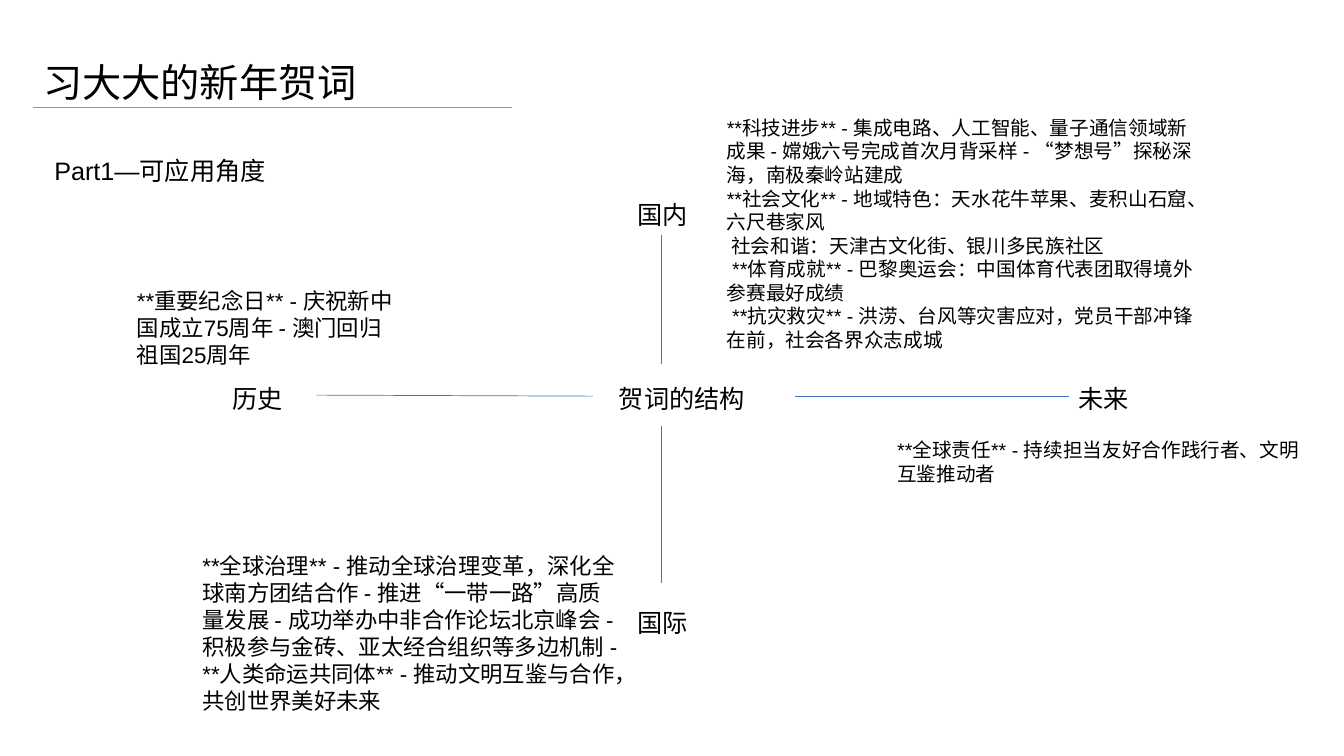
from lxml import etree
from pptx import Presentation
from pptx.dml.color import RGBColor
from pptx.enum.shapes import MSO_CONNECTOR
from pptx.enum.text import MSO_ANCHOR, MSO_AUTO_SIZE, PP_ALIGN
from pptx.oxml.ns import qn
from pptx.util import Inches, Pt

STRAIGHT = MSO_CONNECTOR.STRAIGHT
TOP = MSO_ANCHOR.TOP
GROW = MSO_AUTO_SIZE.SHAPE_TO_FIT_TEXT
LEFT = PP_ALIGN.LEFT

COLORS = {"text": "000000", "rule": "ED7D31", "axis": "4472C4"}
LATIN = "Arial"
CJK = "Noto Sans CJK SC"
FRAME = {
    "word_wrap": True,
    "auto_size": GROW,
    "vertical_anchor": TOP,
    "margin_left": Inches(0.1),
    "margin_right": Inches(0.1),
    "margin_top": Inches(0.05),
    "margin_bottom": Inches(0.05),
}

DOMESTIC = [
    "**科技进步** - 集成电路、人工智能、量子通信领域新成果 - 嫦娥六号完成首次月背采样 - “梦想号”探秘深海，南极秦岭站建成",
    "**社会文化** - 地域特色：天水花牛苹果、麦积山石窟、六尺巷家风",
    " 社会和谐：天津古文化街、银川多民族社区",
    " **体育成就** - 巴黎奥运会：中国体育代表团取得境外参赛最好成绩",
    " **抗灾救灾** - 洪涝、台风等灾害应对，党员干部冲锋在前，社会各界众志成城",
]
GLOBAL = [
    "**全球治理** - 推动全球治理变革，深化全球南方团结合作 - 推进“一带一路”高质量发展 - 成功举办中非合作论坛北京峰会 - 积极参与金砖、亚太经合组织等多边机制 - **人类命运共同体** - 推动文明互鉴与合作，共创世界美好未来"
]
HISTORY = ["**重要纪念日** - 庆祝新中国成立75周年 - 澳门回归祖国25周年"]
FUTURE = ["**全球责任** - 持续担当友好合作践行者、文明互鉴推动者"]


def fill_text(sp, paragraphs, size, font=LATIN):
    tf = sp.text_frame
    for name, value in FRAME.items():
        setattr(tf, name, value)
    for i, text in enumerate(paragraphs):
        p = tf.add_paragraph() if i else tf.paragraphs[0]
        p.alignment = LEFT
        r = p.add_run()
        r.text = text
        for name, value in {"size": Pt(size), "name": font, "bold": False}.items():
            setattr(r.font, name, value)
        r.font.color.rgb = RGBColor.from_string(COLORS["text"])
        r.font.language_id = None
        etree.SubElement(r.font._element, qn("a:ea")).set("typeface", CJK)


def add_text(slide, box, paragraphs, size):
    sp = slide.shapes.add_textbox(*map(Inches, box))
    fill_text(sp, paragraphs, size)


def add_line(slide, ends, color):
    sp = slide.shapes.add_connector(STRAIGHT, *map(Inches, ends))
    sp.line.color.rgb = RGBColor.from_string(COLORS[color])
    sp.line.width = Pt(0.5)
    etree.SubElement(sp._element.spPr, qn("a:effectLst"))


def add_header(slide, box):
    x, y, w, h = box
    title = slide.shapes.title
    bounds = (x, y, 3.45, 0.57)
    for name, value in zip(("left", "top", "width", "height"), bounds):
        setattr(title, name, Inches(value))
    fill_text(title, ["习大大的新年贺词"], 28, CJK)
    add_line(slide, (x, y + 0.54, x + w, y + 0.54), "rule")
    add_text(slide, (x + 0.11, y + h - 0.4, 2.7, 0.4), ["Part1—可应用角度"], 18)


def add_axes(slide, box):
    x, y, w, h = box
    mid_x, mid_y = x + 4.35, y + 2
    right, bottom = x + w, y + h
    label_y = mid_y - 0.18
    labels = [
        ("贺词的结构", mid_x - 0.52, label_y, 1.84),
        ("国内", mid_x - 0.34, y, 0.89),
        ("国际", mid_x - 0.34, bottom - 0.4, 0.89),
        ("历史", x, label_y, 0.93),
        ("未来", right - 0.93, label_y, 0.93),
    ]
    for text, left, top, width in labels:
        add_text(slide, (left, top, width, 0.4), [text], 18)
    for ends in (
        (mid_x, y + 0.4, mid_x, mid_y - 0.32),
        (mid_x, mid_y + 0.3, mid_x, bottom - 0.6),
        (x + 0.93, mid_y - 0.01, mid_x - 0.68, mid_y),
        (mid_x + 1.33, mid_y, right - 0.93, mid_y),
    ):
        add_line(slide, ends, "axis")


def main():
    prs = Presentation()
    prs.slide_width, prs.slide_height = Inches(13.33), Inches(7.5)
    slide = prs.slides.add_slide(prs.slide_layouts.get_by_name("Title Only"))
    add_header(slide, (0.33, 0.53, 4.75, 1.36))
    add_axes(slide, (2.21, 1.93, 9.32, 4.45))
    for box, paragraphs, size in (
        ((7.11, 1.1, 4.89, 2.46), DOMESTIC, 14),
        ((1.91, 5.43, 4.34, 1.72), GLOBAL, 16),
        ((1.26, 2.8, 2.82, 0.91), HISTORY, 16),
        ((8.8, 4.3, 4.2, 0.57), FUTURE, 14),
    ):
        add_text(slide, box, paragraphs, size)
    prs.save("out.pptx")


if __name__ == "__main__":
    main()
